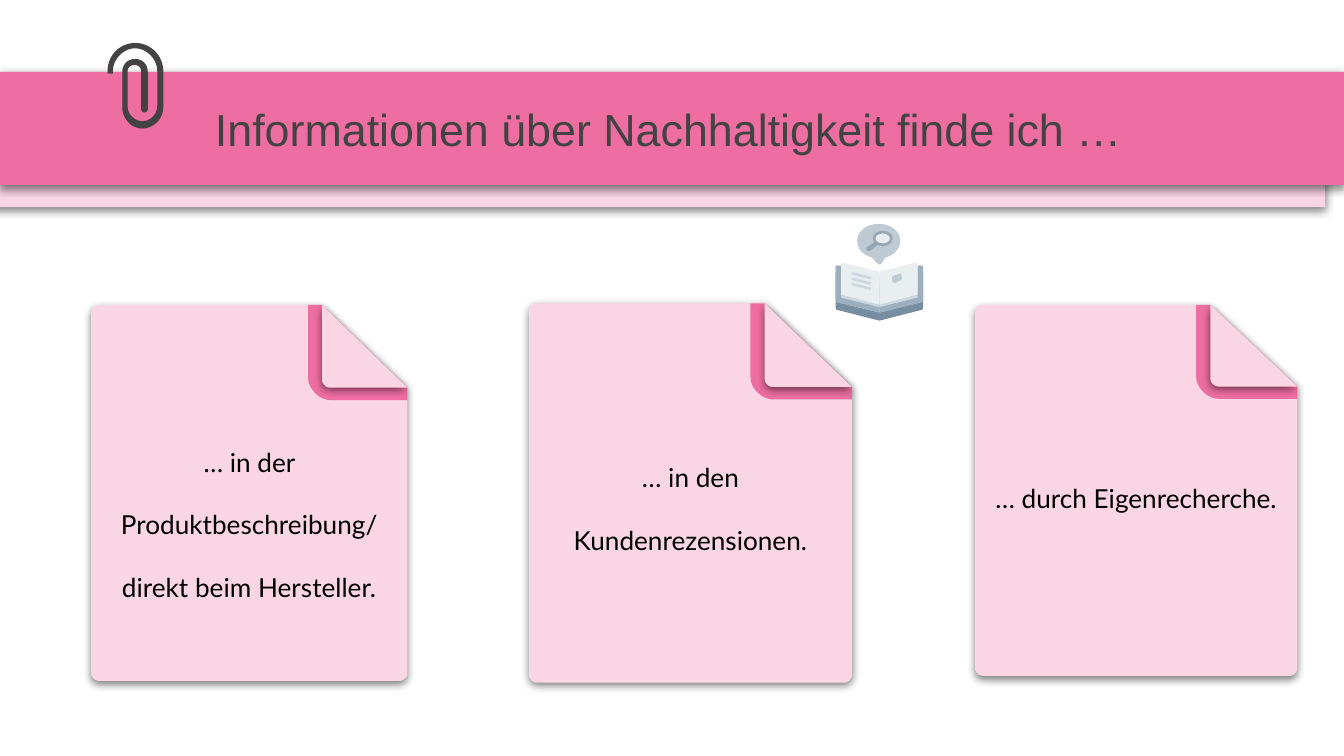
from lxml import etree
from pptx import Presentation
from pptx.dml.color import RGBColor
from pptx.enum.shapes import MSO_SHAPE
from pptx.enum.text import MSO_ANCHOR, PP_ALIGN
from pptx.oxml.ns import qn
from pptx.util import Pt

RECTANGLE, OVAL = MSO_SHAPE.RECTANGLE, MSO_SHAPE.OVAL
MIDDLE = MSO_ANCHOR.MIDDLE
LEFT, CENTER = PP_ALIGN.LEFT, PP_ALIGN.CENTER

PINK, PALE, DARK, BLACK = "EE6EA2", "FAD5E4", "434343", "000000"
BASE, BUBBLE, LENS, HANDLE = "778DA0", "BECBD5", "E9EEF1", "95A6B4"
COVER, EDGE, PAPER = "CDD7DF", "9BAFBF", "E9EEF1"
CURVE_STEPS = 10

# Outlines: pairs are corners, sextuples are cubic curves.
CLIP_SIZE = (41.5, 64)
CLIP = [
    (0, 23), (4, 23), (4, 21), (4, 12, 12, 4, 20.5, 4), (29, 4, 37, 12, 37, 21),
    (37, 47), (37, 53, 32, 58.5, 26, 58.5), (20, 58.5, 15, 53, 15, 48),
    (15, 21), (15, 18.5, 17, 16.5, 20, 16.5), (23, 16.5, 25, 18.5, 25, 21),
    (25, 49), (25, 51, 26, 52, 27.3, 52), (29, 52, 30, 51, 30, 49),
    (30, 22), (30, 16, 26, 12, 20.5, 12), (15, 12, 11, 16, 11, 22),
    (11, 48), (11, 57, 18, 64, 26, 64), (34, 64, 41.5, 57, 41.5, 48),
    (41.5, 21), (41.5, 9.5, 32, 0, 20.7, 0), (9, 0, 0, 9.5, 0, 21),
]
BOOK_SIZE = (65, 72)
BOOK_BASE = [(0, 36), (0, 62), (0, 63, 0.5, 64, 1, 64), (32.5, 72), (64, 64),
             (64.5, 64, 65, 63, 65, 62), (65, 36), (32.5, 44)]
SPEECH_BUBBLE = [
    (32, 0), (23, 0, 16, 5.5, 16, 12.5), (16, 18.5, 20.5, 23.5, 27, 25),
    (31, 29.5), (31.5, 30.3, 33, 30.3, 34, 29.5), (37, 25),
    (43.5, 23.5, 48, 18.5, 48, 12.5), (48, 5.5, 41, 0, 32, 0),
]
LENS_HANDLE = [(29, 13.5), (23, 17.5), (22, 18.5, 23, 20, 24, 20),
               (25.5, 20), (31.5, 15.5)]
LEFT_HALF = [
    ([(0, 32), (0, 31, 1, 31, 2, 31), (32.5, 39), (32.5, 66), (0, 58)], COVER),
    ([(0, 32), (0, 31, 1, 31, 2, 31), (4, 31), (4, 55), (32.5, 62),
      (32.5, 66), (0, 58)], EDGE),
    ([(4, 30), (4, 29, 5, 29, 6, 29), (32.5, 35.5), (32.5, 60), (4, 52.5)], PAPER),
]
TEXT_LINE = [(13, 36), (25, 39), (27, 39, 27, 41, 25, 41), (13, 38),
             (11, 38, 12, 36, 13, 36)]
PAGE_MARK = [(43, 38.5), (48, 37), (49, 37, 49, 38, 49, 38), (49, 41),
             (49, 42, 48, 42, 48, 42), (44, 44), (43, 44, 42, 43, 42, 43),
             (42, 39.5)]


def color(value):
    return RGBColor.from_string(value)


def style(shape, fill, shadow=False):
    shape.fill.solid()
    shape.fill.fore_color.rgb = color(fill)
    shape.line.fill.background()
    shape.shadow.inherit = False
    if shadow:
        effects = shape._element.spPr.find(qn("a:effectLst"))
        outer = etree.SubElement(effects, qn("a:outerShdw"), blurRad=str(Pt(4.5)),
                                 dist=str(Pt(1.5)), dir="5400000", algn="bl",
                                 rotWithShape="0")
        tone = etree.SubElement(outer, qn("a:srgbClr"), val=BLACK)
        etree.SubElement(tone, qn("a:alpha"), val="50000")


def flatten(outline):
    """Turn corners and cubic curves into a list of points."""
    points = []
    for part in outline:
        if len(part) == 2:
            points.append(part)
            continue
        x0, y0 = points[-1]
        x1, y1, x2, y2, x3, y3 = part
        for step in range(1, CURVE_STEPS + 1):
            t = step / CURVE_STEPS
            a, b, c, d = (1 - t) ** 3, 3 * t * (1 - t) ** 2, 3 * t * t * (1 - t), t ** 3
            points.append((a * x0 + b * x1 + c * x2 + d * x3,
                           a * y0 + b * y1 + c * y2 + d * y3))
    return points


def draw_outline(shapes, outline, left, top, fill, unit=(1, 1), shadow=False):
    """Draw an outline whose grid unit is given in points."""
    points = [(x * 100, y * 100) for x, y in flatten(outline)]
    scale = tuple(Pt(1) * size / 100 for size in unit)
    builder = shapes.build_freeform(*points[0], scale=scale)
    builder.add_line_segments(points[1:], close=True)
    shape = builder.convert_to_shape(Pt(left), Pt(top))
    style(shape, fill, shadow)
    return shape


def write(shape, text, font, size, ink, align, spacing=1, left=7.2, top=7.2):
    frame = shape.text_frame
    frame.word_wrap = True
    frame.vertical_anchor = MIDDLE
    frame.margin_left, frame.margin_top = Pt(left), Pt(top)
    frame.margin_right = frame.margin_bottom = Pt(7.2)
    frame.text = text
    para = frame.paragraphs[0]
    para.alignment = align
    para.line_spacing = spacing
    span = para.runs[0]
    span.font.name = font
    span.font.size = Pt(size)
    span.font.color.rgb = color(ink)


def add_banner(page, left, top, width, height, title):
    for x, y, fill in ((left - 10, top + 11.9, PALE), (left, top, PINK)):
        band = page.shapes.add_shape(RECTANGLE, Pt(x), Pt(y), Pt(width), Pt(height))
        style(band, fill, shadow=True)
    write(band, title, "Arial", 24, DARK, LEFT, left=115.2)


def add_paperclip(page, left, top, width, height):
    unit = (width / CLIP_SIZE[0], height / CLIP_SIZE[1])
    draw_outline(page.shapes, CLIP, left, top, DARK, unit)


def add_note(page, left, top, width, height, text, spacing, text_top):
    """Place a sheet with its upper right corner folded over."""
    shapes = page.shapes.add_group_shape().shapes
    fold_x, fold_y = width * 0.73, height * 0.22
    strip_x, strip_y = width * 0.686, height * 0.253
    r, strip_r = 4.2, 12
    sheet = [(r, 0), (r / 2, 0, 0, r / 2, 0, r), (0, height - r),
             (0, height - r / 2, r / 2, height, r, height), (width - r, height),
             (width - r / 2, height, width, height - r / 2, width, height - r),
             (width, fold_y), (fold_x, 0)]
    strip = [(strip_x, 0), (strip_x, strip_y - strip_r),
             (strip_x, strip_y - strip_r / 2, strip_x + strip_r / 2, strip_y,
              strip_x + strip_r, strip_y),
             (width, strip_y), (width, fold_y), (fold_x, 0)]
    flap = [(fold_x, 0), (fold_x, fold_y - r),
            (fold_x, fold_y - r / 2, fold_x + r / 2, fold_y, fold_x + r, fold_y),
            (width, fold_y)]
    body = draw_outline(shapes, sheet, left, top, PALE, shadow=True)
    write(body, text, "Lato", 14, BLACK, CENTER, spacing, top=text_top)
    draw_outline(shapes, strip, left, top, PINK)
    draw_outline(shapes, flap, left, top, PALE, shadow=True)


def mirror(outline):
    return [tuple(BOOK_SIZE[0] - value if i % 2 == 0 else value
                  for i, value in enumerate(part)) for part in outline]


def add_book(page, left, top, width, height):
    """Place an open book under a bubble with a magnifier."""
    shapes = page.shapes.add_group_shape().shapes
    unit = (width / BOOK_SIZE[0], height / BOOK_SIZE[1])
    halves = LEFT_HALF + [(mirror(outline), fill) for outline, fill in LEFT_HALF]
    lines = [([part[:1] + (part[1] + shift,) if len(part) == 2 else
               tuple(v + shift * (i % 2) for i, v in enumerate(part))
               for part in TEXT_LINE], COVER) for shift in (0, 4, 8)]
    parts = [(BOOK_BASE, BASE), (SPEECH_BUBBLE, BUBBLE), (LENS_HANDLE, HANDLE),
             *halves, *lines, (PAGE_MARK, BUBBLE)]
    for outline, fill in parts:
        draw_outline(shapes, outline, left, top, fill, unit)
    lens = shapes.add_shape(OVAL, Pt(left + 28.5 * unit[0]), Pt(top + 6 * unit[1]),
                            Pt(13 * unit[0]), Pt(9.5 * unit[1]))
    style(lens, LENS)
    lens.line.color.rgb = color(HANDLE)
    lens.line.width = Pt(1.4)


def main():
    deck = Presentation()
    deck.slide_width, deck.slide_height = Pt(720), Pt(405)
    page = deck.slides.add_slide(deck.slide_layouts[6])
    add_banner(page, 0, 38.5, 720, 60.6, "Informationen über Nachhaltigkeit finde ich …")
    add_paperclip(page, 57.6, 23, 29.9, 45.9)
    notes = [
        (48.8, 163.4, 169.5, 201.4,
         "… in der Produktbeschreibung/ direkt beim Hersteller.", 2, 24),
        (283.4, 162.6, 173, 203.2, "… in den Kundenrezensionen.", 2, 7.2),
        (522.3, 163.4, 172.8, 198.7, "… durch Eigenrecherche.", 1.5, 7.2),
    ]
    for note in notes:
        add_note(page, *note)
    add_book(page, 447.7, 120, 46.8, 51.8)
    deck.save("out.pptx")


if __name__ == "__main__":
    main()
